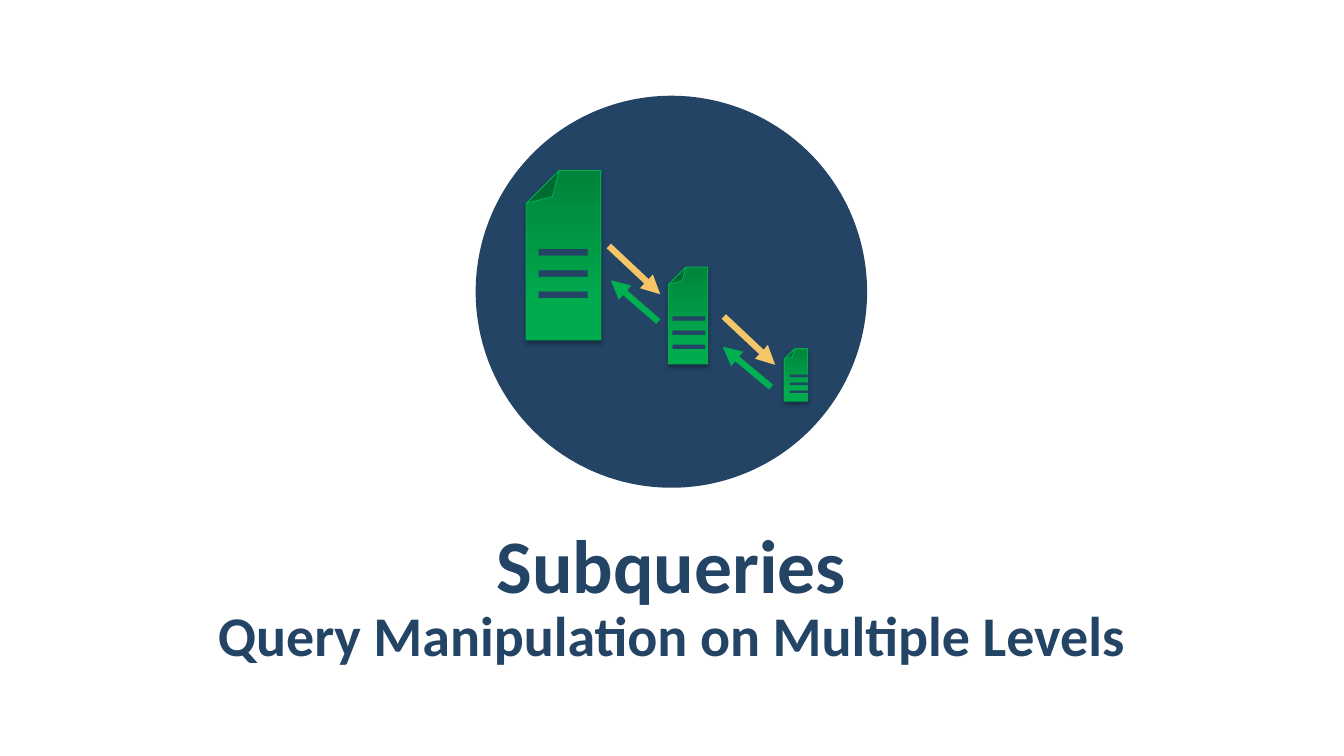
import pptx
import pptx.util
import pptx.dml.color
import pptx.enum.shapes
import pptx.enum.text
import pptx.oxml
import pptx.oxml.ns
from lxml import etree

Pt = pptx.util.Pt
COLORS = {
    "navy": "234465",
    "dark_green": "00833C",
    "green": "00AB4E",
    "outline": "00AC4E",
    "arrow_green": "00B050",
    "yellow": "F5C567",
}
SHADOW = (
    '<a:outerShdw xmlns:a="http://schemas.openxmlformats.org/drawingml/2006/main" '
    'blurRad="39370" dist="22860" dir="5400000" rotWithShape="0">'
    '<a:srgbClr val="000000"><a:alpha val="35000"/></a:srgbClr></a:outerShdw>'
)


def color(name):
    return pptx.dml.color.RGBColor.from_string(COLORS[name])


def write(paragraph, text, font, size):
    paragraph.alignment = pptx.enum.text.PP_ALIGN.CENTER
    run = paragraph.add_run()
    run.text = text
    run.font.name = font
    run.font.size = Pt(size)
    run.font.bold = True
    run.font.color.rgb = color("navy")
    return run


presentation = pptx.Presentation()
presentation.slide_width = Pt(960)
presentation.slide_height = Pt(540)
slide = presentation.slides.add_slide(presentation.slide_layouts[0])

headings = [
    ("Subqueries", 370.8, 60.5, 54),
    ("Query Manipulation on Multiple Levels", 432, 39.6, 40),
]
for placeholder, (text, top, height, size) in zip(slide.placeholders, headings):
    placeholder.left, placeholder.top = Pt(48.2), Pt(top)
    placeholder.width, placeholder.height = Pt(862.6), Pt(height)
    frame = placeholder.text_frame
    frame.word_wrap = True
    frame.auto_size = pptx.enum.text.MSO_AUTO_SIZE.NONE
    frame.vertical_anchor = pptx.enum.text.MSO_ANCHOR.MIDDLE
    frame.margin_left = frame.margin_right = Pt(8.5)
    frame.margin_top = frame.margin_bottom = Pt(2.8)
    paragraph = frame.paragraphs[0]
    paragraph.line_spacing = 1.05
    paragraph.space_before = paragraph.space_after = Pt(6)
    write(paragraph, text, "Calibri", size)

circle = slide.shapes.add_shape(
    pptx.enum.shapes.MSO_SHAPE.OVAL, Pt(339.8), Pt(68.4), Pt(279.6), Pt(280))
circle.shadow.inherit = False
circle.fill.solid()
circle.fill.fore_color.rgb = color("navy")
circle.line.fill.background()

documents = [
    ((477.4, 190.8, 28.1, 69.1), (469.4, 213.8, 45.4, 35.3), 32),
    ((560.2, 249.1, 16.6, 37.4), (555.8, 259.9, 26.6, 25.9), 18),
    ((375.8, 121.7, 53.3, 121), (360, 162, 85, 57.6), 48),
]
for page_box, lines_box, size in documents:
    page = slide.shapes.add_shape(
        pptx.enum.shapes.MSO_SHAPE.FOLDED_CORNER, *map(Pt, page_box))
    page.rotation = 180
    geometry = page._element.spPr.find(pptx.oxml.ns.qn("a:prstGeom"))
    guides = geometry.find(pptx.oxml.ns.qn("a:avLst"))
    fold = etree.SubElement(guides, pptx.oxml.ns.qn("a:gd"))
    fold.set("name", "adj")
    fold.set("fmla", "val 44200")
    page.fill.gradient()
    page.fill.gradient_angle = 90
    stops = page.fill.gradient_stops
    for stop, position, name in zip(stops, (0, 0.8), ("dark_green", "green")):
        stop.position = position
        stop.color.rgb = color(name)
    page.line.color.rgb = color("outline")
    page.line.width = Pt(0.75)
    page.shadow.inherit = False
    effects = page._element.spPr.find(pptx.oxml.ns.qn("a:effectLst"))
    effects.append(pptx.oxml.parse_xml(SHADOW))

    lines = slide.shapes.add_textbox(*map(Pt, lines_box))
    lines.text_frame.word_wrap = True
    lines.text_frame.auto_size = pptx.enum.text.MSO_AUTO_SIZE.SHAPE_TO_FIT_TEXT
    run = write(lines.text_frame.paragraphs[0], "☰", "Noto Sans Mono", size)
    for tag in ("a:ea", "a:cs"):
        typeface = etree.SubElement(run.font._element, pptx.oxml.ns.qn(tag))
        typeface.set("typeface", "Noto Sans Mono")

arrows = [
    ("yellow", 517, 226.1, 553.7, 260.6),
    ("yellow", 434.9, 175.7, 471.6, 210.2),
    ("arrow_green", 550.8, 276.5, 516.2, 247.7),
    ("arrow_green", 470.2, 229.7, 436.3, 200.2),
]
for name, *ends in arrows:
    arrow = slide.shapes.add_connector(
        pptx.enum.shapes.MSO_CONNECTOR.STRAIGHT, *map(Pt, ends))
    arrow.line.color.rgb = color(name)
    arrow.line.width = Pt(4.5)
    head = etree.SubElement(arrow.line._get_or_add_ln(), pptx.oxml.ns.qn("a:tailEnd"))
    head.set("type", "triangle")
    etree.SubElement(arrow._element.spPr, pptx.oxml.ns.qn("a:effectLst"))

presentation.save("out.pptx")
